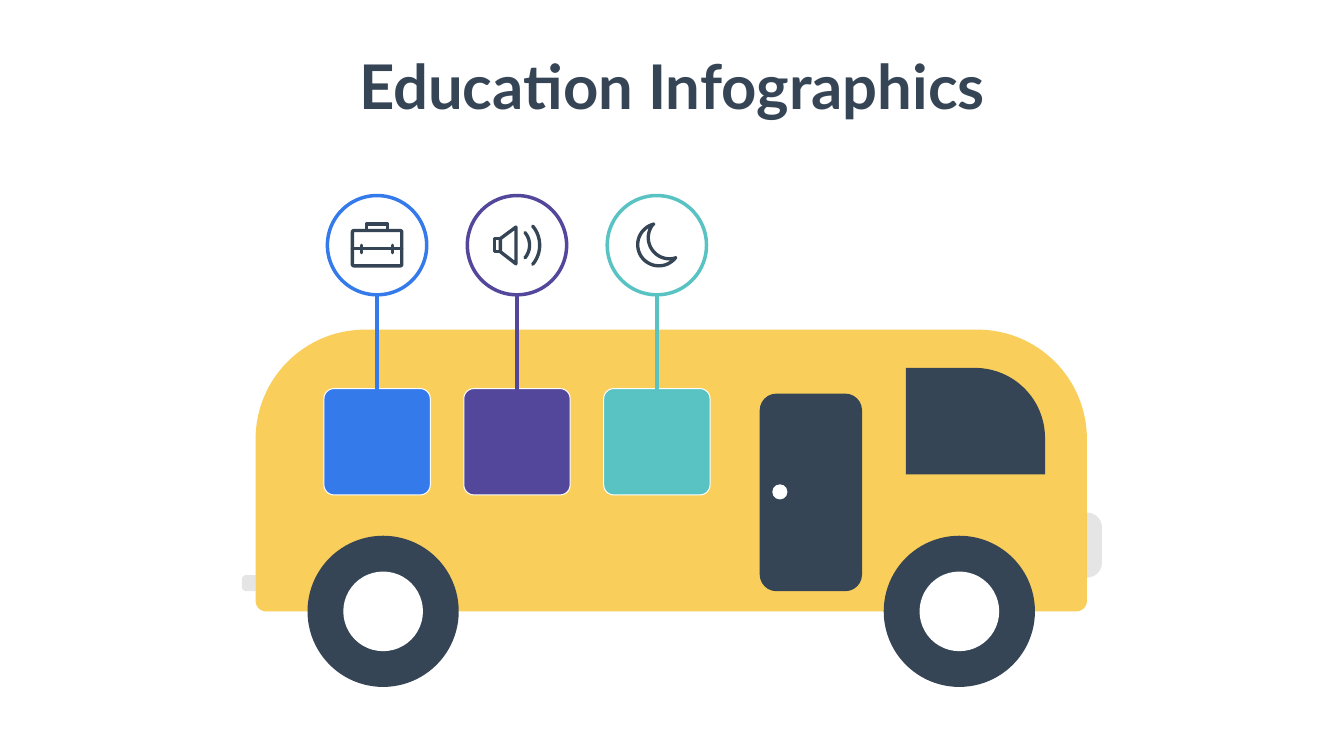
"""Build the Education Infographics slide: a school bus with three icon badges."""
import math

import lxml.etree
import pptx
import pptx.dml.color
import pptx.enum.shapes
import pptx.enum.text
import pptx.oxml.ns
import pptx.util

RGBColor = pptx.dml.color.RGBColor
MSO_SHAPE = pptx.enum.shapes.MSO_SHAPE
Inches = pptx.util.Inches
qn = pptx.oxml.ns.qn

NAVY = RGBColor(0x36, 0x45, 0x56)
YELLOW = RGBColor(0xF9, 0xCE, 0x5B)
BLUE = RGBColor(0x34, 0x7A, 0xEB)
PURPLE = RGBColor(0x52, 0x47, 0x9B)
TEAL = RGBColor(0x58, 0xC3, 0xC2)
GREY = RGBColor(0x80, 0x80, 0x80)
WHITE = RGBColor(0xFF, 0xFF, 0xFF)

SLIDE_WIDTH, SLIDE_HEIGHT = 26.66, 15
TITLE = "Education Infographics"
TITLE_TOP, TITLE_WIDTH, TITLE_HEIGHT = 0.91, 12.89, 1.58

BODY_LEFT, BODY_TOP, BODY_WIDTH, BODY_HEIGHT = 5.07, 6.54, 16.49, 5.59
BODY_RIGHT, BODY_BOTTOM = BODY_LEFT + BODY_WIDTH, BODY_TOP + BODY_HEIGHT
WHEEL_CENTERS = [7.6, 19.03]
WHEEL_SIZE, HUB_SIZE = 3, 1.58

FIRST_COLUMN, COLUMN_PITCH = 7.48, 2.775
WINDOW_TOP, WINDOW_SIZE = 7.71, 2.11
BADGE_MIDDLE, BADGE_SIZE = 4.865, 1.97
STEM_OVERLAP = 0.12
BADGE_LINE, ICON_LINE, WINDOW_LINE = 5, 4.8, 1.45


def arc(center_x, center_y, radius, start, end, steps=32):
    """Return points along an arc, with angles in degrees clockwise from the right."""
    angles = [math.radians(start + (end - start) * i / steps) for i in range(steps + 1)]
    return [(center_x + radius * math.cos(a), center_y + radius * math.sin(a)) for a in angles]


def rounded_outline(left, top, width, height, radii):
    """Return a rectangle's points, with radii clockwise from the top left corner."""
    points = []
    for index, radius in enumerate(radii):
        center_x = left + width - radius if index in (1, 2) else left + radius
        center_y = top + height - radius if index in (2, 3) else top + radius
        start = 180 + 90 * index
        points += arc(center_x, center_y, radius, start, start + 90) if radius else [(center_x, center_y)]
    return points


BRIEFCASE = [
    (rounded_outline(-0.49, -0.29, 0.98, 0.7, [0.03] * 4), True),
    ([(-0.49, 0.06), (0.49, 0.06)], False),
    ([(-0.31, 0), (-0.31, 0.15)], False),
    ([(0.31, 0), (0.31, 0.15)], False),
    ([(-0.21, -0.3), (-0.21, -0.42), (0.21, -0.42), (0.21, -0.3)], False),
]
SPEAKER = [
    ([(-0.45, -0.13), (-0.33, -0.13), (-0.33, 0.13), (-0.45, 0.13)], True),
    ([(-0.33, -0.13), (-0.02, -0.36), (-0.02, 0.37), (-0.33, 0.13)], True),
    (arc(-0.14, 0, 0.39, -40, 40), False),
    (arc(-0.14, 0, 0.59, -40, 40), False),
]
MOON = [(arc(0.04, -0.01, 0.42, 256, 38) + arc(0.25, -0.15, 0.42, 73, 220), True)]

COLUMNS = [(BLUE, BRIEFCASE), (PURPLE, SPEAKER), (TEAL, MOON)]


def style(shape, fill=None, line=None, line_width=BADGE_LINE, opacity=None):
    shape.shadow.inherit = False
    if fill is None:
        shape.fill.background()
    else:
        shape.fill.solid()
        shape.fill.fore_color.rgb = fill
    if opacity is not None:
        color = shape.fill._xPr.find(qn("a:solidFill"))[0]
        lxml.etree.SubElement(color, qn("a:alpha")).set("val", str(opacity * 1000))
    if line is None:
        shape.line.fill.background()
    else:
        shape.line.color.rgb = line
        shape.line.width = pptx.util.Pt(line_width)


def add_preset(slide, kind, left, top, width, height, radius=None, **look):
    shape = slide.shapes.add_shape(kind, *map(Inches, (left, top, width, height)))
    if radius is not None:
        shape.adjustments[0] = radius / min(width, height)
    style(shape, **look)


def add_circle(slide, center_x, center_y, size, **look):
    add_preset(slide, MSO_SHAPE.OVAL, center_x - size / 2, center_y - size / 2, size, size, **look)


def add_outline(slide, points, close=True, **look):
    places = [(Inches(x), Inches(y)) for x, y in points]
    builder = slide.shapes.build_freeform(*places[0])
    builder.add_line_segments(places[1:], close=close)
    shape = builder.convert_to_shape()
    style(shape, **look)
    return shape


def add_icon(slide, strokes, center_x, center_y):
    for points, close in strokes:
        moved = [(center_x + x, center_y + y) for x, y in points]
        shape = add_outline(slide, moved, close, line=NAVY, line_width=ICON_LINE)
        line = shape.line._get_or_add_ln()
        line.set("cap", "rnd")
        lxml.etree.SubElement(line, qn("a:round"))


def add_stem(slide, center_x, top, bottom, color):
    stem = slide.shapes.add_connector(
        pptx.enum.shapes.MSO_CONNECTOR.STRAIGHT, *map(Inches, (center_x, bottom, center_x, top)))
    stem.line.color.rgb = color
    stem.line.width = pptx.util.Pt(BADGE_LINE)
    lxml.etree.SubElement(stem._element.spPr, qn("a:effectLst"))


def add_text(slide, text, left, top, width, height, size, color, font="Lato", bold=False):
    box = slide.shapes.add_textbox(*map(Inches, (left, top, width, height)))
    box.text_frame.word_wrap = False
    paragraph = box.text_frame.paragraphs[0]
    paragraph.alignment = pptx.enum.text.PP_ALIGN.CENTER
    run = paragraph.add_run()
    run.text = text
    run.font.name = font
    run.font.size = pptx.util.Pt(size)
    run.font.bold = bold
    run.font.color.rgb = color


def add_bus(slide):
    body = rounded_outline(BODY_LEFT, BODY_TOP, BODY_WIDTH, BODY_HEIGHT, [2.17, 2.17, 0.21, 0.21])
    windshield = rounded_outline(17.97, 7.3, 2.76, 2.11, [0, 1.39, 0, 0])
    headlight = rounded_outline(BODY_RIGHT, 10.17, 0.3, 1.29, [0, 0.3, 0.3, 0])
    bumper = rounded_outline(BODY_LEFT - 0.27, 11.41, 0.27, 0.32, [0.09, 0, 0, 0.09])
    add_outline(slide, body, fill=YELLOW)
    add_outline(slide, windshield, fill=NAVY)
    add_outline(slide, headlight, fill=GREY, opacity=20)
    add_outline(slide, bumper, fill=GREY, opacity=20)
    add_preset(slide, MSO_SHAPE.ROUNDED_RECTANGLE, 15.07, 7.81, 2.03, 3.92, radius=0.33, fill=NAVY)
    add_circle(slide, 15.47, 9.76, 0.3, fill=WHITE)
    for center_x in WHEEL_CENTERS:
        add_circle(slide, center_x, BODY_BOTTOM, WHEEL_SIZE, fill=NAVY)
        add_circle(slide, center_x, BODY_BOTTOM, HUB_SIZE, fill=WHITE)


def add_column(slide, index, color, icon):
    center_x = FIRST_COLUMN + index * COLUMN_PITCH
    add_preset(slide, MSO_SHAPE.ROUNDED_RECTANGLE, center_x - WINDOW_SIZE / 2, WINDOW_TOP,
               WINDOW_SIZE, WINDOW_SIZE, radius=0.2, fill=color, line=WHITE, line_width=WINDOW_LINE)
    add_stem(slide, center_x, BADGE_MIDDLE + BADGE_SIZE / 2, WINDOW_TOP + STEM_OVERLAP, color)
    add_circle(slide, center_x, BADGE_MIDDLE, BADGE_SIZE, line=color)
    add_icon(slide, icon, center_x, BADGE_MIDDLE)


def main():
    presentation = pptx.Presentation()
    presentation.slide_width = Inches(SLIDE_WIDTH)
    presentation.slide_height = Inches(SLIDE_HEIGHT)
    slide = presentation.slides.add_slide(presentation.slide_layouts[6])
    add_text(slide, TITLE, (SLIDE_WIDTH - TITLE_WIDTH) / 2, TITLE_TOP, TITLE_WIDTH, TITLE_HEIGHT,
             size=88, color=NAVY, bold=True)
    add_bus(slide)
    for index, (color, icon) in enumerate(COLUMNS):
        add_column(slide, index, color, icon)
    presentation.save("out.pptx")


if __name__ == "__main__":
    main()
